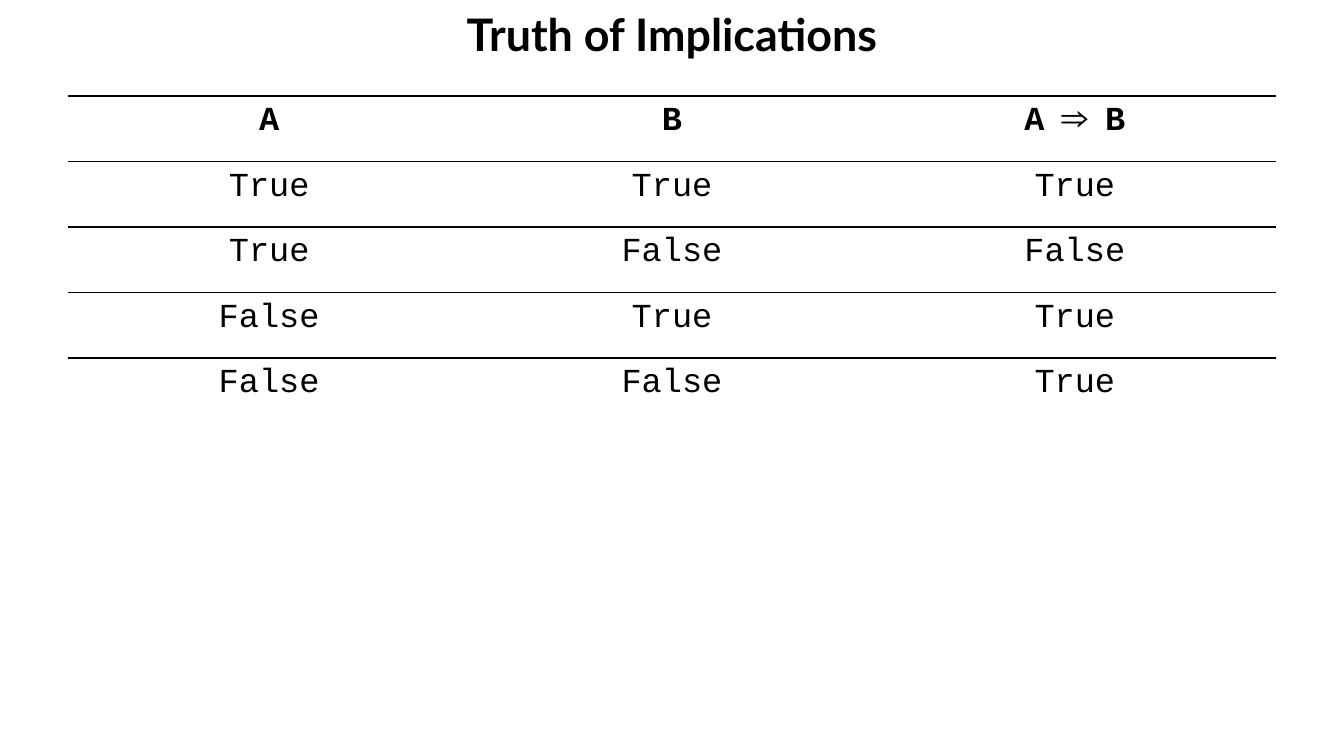
from dataclasses import dataclass

from lxml.etree import SubElement
from pptx import Presentation
from pptx.dml.color import RGBColor
from pptx.enum.text import MSO_ANCHOR, PP_ALIGN
from pptx.oxml.ns import qn
from pptx.util import Cm, Pt


@dataclass(frozen=True)
class Theme:
    ink: str = "000000"
    title_font: str = "Lato"
    title_size: float = 24
    cell_font: str = "Courier New"
    cell_size: float = 18
    rule: float = 1


THEME = Theme()
HEADER = ("A", "B", "A ⇒ B")
TRUTHS = ((True, True), (True, False), (False, True), (False, False))


def write(tf, text, font, size, bold):
    tf.text = text
    p = tf.paragraphs[0]
    p.alignment = PP_ALIGN.CENTER
    r = p.runs[0]
    r.font.name = font
    r.font.size = Pt(size)
    r.font.bold = bold
    r.font.color.rgb = RGBColor.from_string(THEME.ink)


def set_borders(cell, ruled):
    tc_pr = cell._tc.get_or_add_tcPr()
    for i, side in enumerate(("lnL", "lnR", "lnT", "lnB")):
        ln = SubElement(tc_pr, qn(f"a:{side}"), w=str(Pt(THEME.rule)))
        if side in ruled:
            fill = SubElement(ln, qn("a:solidFill"))
            SubElement(fill, qn("a:srgbClr"), val=THEME.ink)
        else:
            SubElement(ln, qn("a:noFill"))
        tc_pr.insert(i, ln)


def add_title(slide, text, left, top, width, height):
    tf = slide.shapes.add_textbox(left, top, width, height).text_frame
    tf.word_wrap = True
    tf.vertical_anchor = MSO_ANCHOR.TOP
    tf.margin_left = tf.margin_right = 0
    write(tf, text, THEME.title_font, THEME.title_size, True)


def add_truth_table(slide, rows, left, top, width, height):
    table = slide.shapes.add_table(
        len(rows), len(rows[0]), left, top, width, height
    ).table
    table.first_row = table.horz_banding = False
    for i, values in enumerate(rows):
        ruled = ("lnT", "lnB") if i < len(rows) - 1 else ("lnT",)
        for j, value in enumerate(values):
            cell = table.cell(i, j)
            cell.fill.background()
            set_borders(cell, ruled)
            write(cell.text_frame, str(value), THEME.cell_font,
                  THEME.cell_size, i == 0)


def main():
    prs = Presentation()
    prs.slide_width, prs.slide_height = Cm(25.4), Cm(14.29)
    s = prs.slides.add_slide(prs.slide_layouts[6])
    add_title(s, "Truth of Implications", 0, 0, prs.slide_width, Cm(1.5))
    rows = [HEADER] + [(a, b, not a or b) for a, b in TRUTHS]
    add_truth_table(s, rows, Cm(1.28), Cm(1.81), Cm(22.84), Cm(6.2))
    prs.save("out.pptx")


if __name__ == "__main__":
    main()
